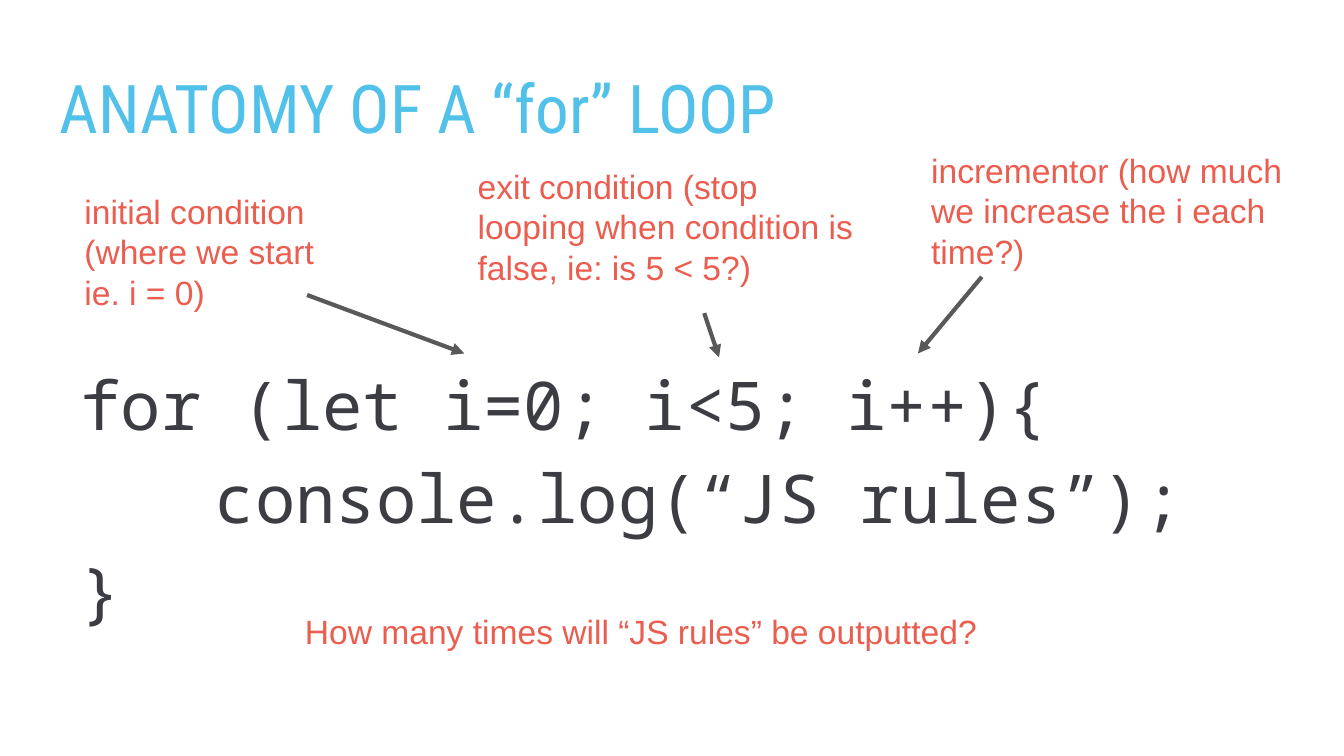
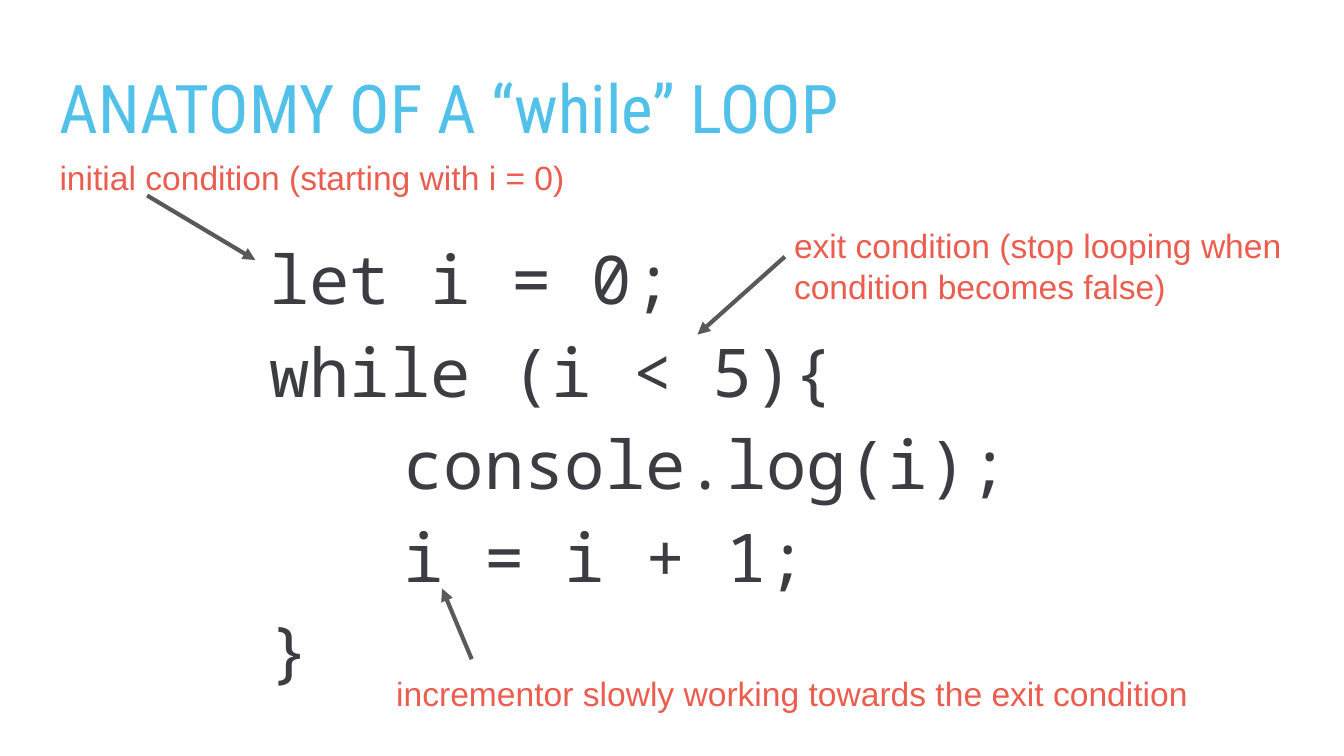
from lxml.etree import SubElement
from pptx import Presentation
from pptx.dml.color import RGBColor
from pptx.enum.shapes import MSO_CONNECTOR as Connector
from pptx.enum.text import MSO_ANCHOR as Anchor, MSO_AUTO_SIZE as AutoSize
from pptx.oxml.ns import qn
from pptx.util import Emu, Pt

EMU_PER_PX = 4572  # 200 px to the inch
INSET = 20
CODE_INDENT = 200


def px(length):
    return Emu(length * EMU_PER_PX)


def color(hex_code):
    return RGBColor.from_string(hex_code)


class LoopDeck:
    """Style of the deck, and the slide being built."""

    TITLE = ("Roboto Condensed", 36, "51C1E9")
    CODE = ("Noto Sans Mono", 36, "3B3D42")
    NOTE = ("Arial", 18, "EA5D4F")
    ARROW = "595959"

    def __init__(self):
        self.deck = Presentation()
        self.deck.slide_width, self.deck.slide_height = px(2000), px(1125)
        self.slide = None

    def add_slide(self, title):
        self.slide = self.deck.slides.add_slide(self.deck.slide_layouts[6])
        self.text((69, 78, 1864, 144), [title], self.TITLE)

    def text(self, box, lines, style):
        """Add a text box with one paragraph per line and return its paragraphs."""
        frame = self.slide.shapes.add_textbox(*map(px, box)).text_frame
        frame.word_wrap = True
        frame.auto_size = AutoSize.NONE
        frame.vertical_anchor = Anchor.TOP
        frame.margin_left = frame.margin_right = px(INSET)
        frame.margin_top = frame.margin_bottom = px(INSET)
        name, size, hex_code = style
        for index, line in enumerate(lines):
            paragraph = frame.add_paragraph() if index else frame.paragraphs[0]
            run = paragraph.add_run()
            run.text = line
            run.font.name = name
            run.font.size = Pt(size)
            run.font.color.rgb = color(hex_code)
        return frame.paragraphs

    def code(self, box, lines):
        """Add code given as (indent level, statement) pairs."""
        paragraphs = self.text(box, [statement for _, statement in lines], self.CODE)
        for paragraph, (level, _) in zip(paragraphs, lines):
            paragraph.line_spacing = 1.15
            properties = paragraph._p.get_or_add_pPr()
            properties.set("marL", str(px(level * CODE_INDENT)))
            properties.set("indent", "0")

    def note(self, box, *lines):
        self.text(box, lines, self.NOTE)

    def arrow(self, start, end):
        arrow = self.slide.shapes.add_connector(
            Connector.STRAIGHT, *map(px, start + end))
        arrow.line.color.rgb = color(self.ARROW)
        arrow.line.width = Pt(2.25)
        SubElement(arrow.line._get_or_add_ln(), qn("a:tailEnd"), type="triangle")
        SubElement(arrow._element.spPr, qn("a:effectLst"))


def add_for_loop(deck):
    deck.add_slide("ANATOMY OF A “for” LOOP")
    deck.code((100, 503, 1802, 256), [
        (0, "for (let i=0; i<5; i++){"),
        (1, "console.log(“JS rules”);"),
        (0, "}"),
    ])
    deck.note((106, 264, 446, 144), "initial condition", "(where we start ie. i = 0)")
    deck.note((691, 227, 618, 144),
              "exit condition (stop looping when condition is false, ie: is 5 < 5?)")
    deck.note((1366, 203, 588, 144),
              "incrementor (how much we increase the i each time?)")
    deck.arrow((457, 439), (691, 526))
    deck.arrow((1048, 466), (1070, 532))
    deck.arrow((1461, 412), (1366, 526))
    deck.note((434, 889, 1096, 144), "How many times will “JS rules” be outputted?")


def add_while_loop(deck):
    deck.add_slide("ANATOMY OF A “while” LOOP")
    deck.code((381, 315, 1238, 378), [
        (0, "let i = 0;"),
        (0, "while (i < 5){"),
        (1, "console.log(i);"),
        (1, "i = i + 1;"),
        (0, "}"),
    ])
    deck.note((69, 214, 800, 110), "initial condition (starting with i = 0)")
    deck.note((1162, 315, 800, 144),
              "exit condition (stop looping when condition becomes false)")
    deck.note((570, 981, 1392, 144),
              "incrementor slowly working towards the exit condition")
    deck.arrow((702, 981), (658, 876))
    deck.arrow((1168, 382), (1038, 498))
    deck.arrow((219, 291), (380, 387))


def main():
    loops = LoopDeck()
    add_for_loop(loops)
    add_while_loop(loops)
    loops.deck.save("out.pptx")


if __name__ == "__main__":
    main()
